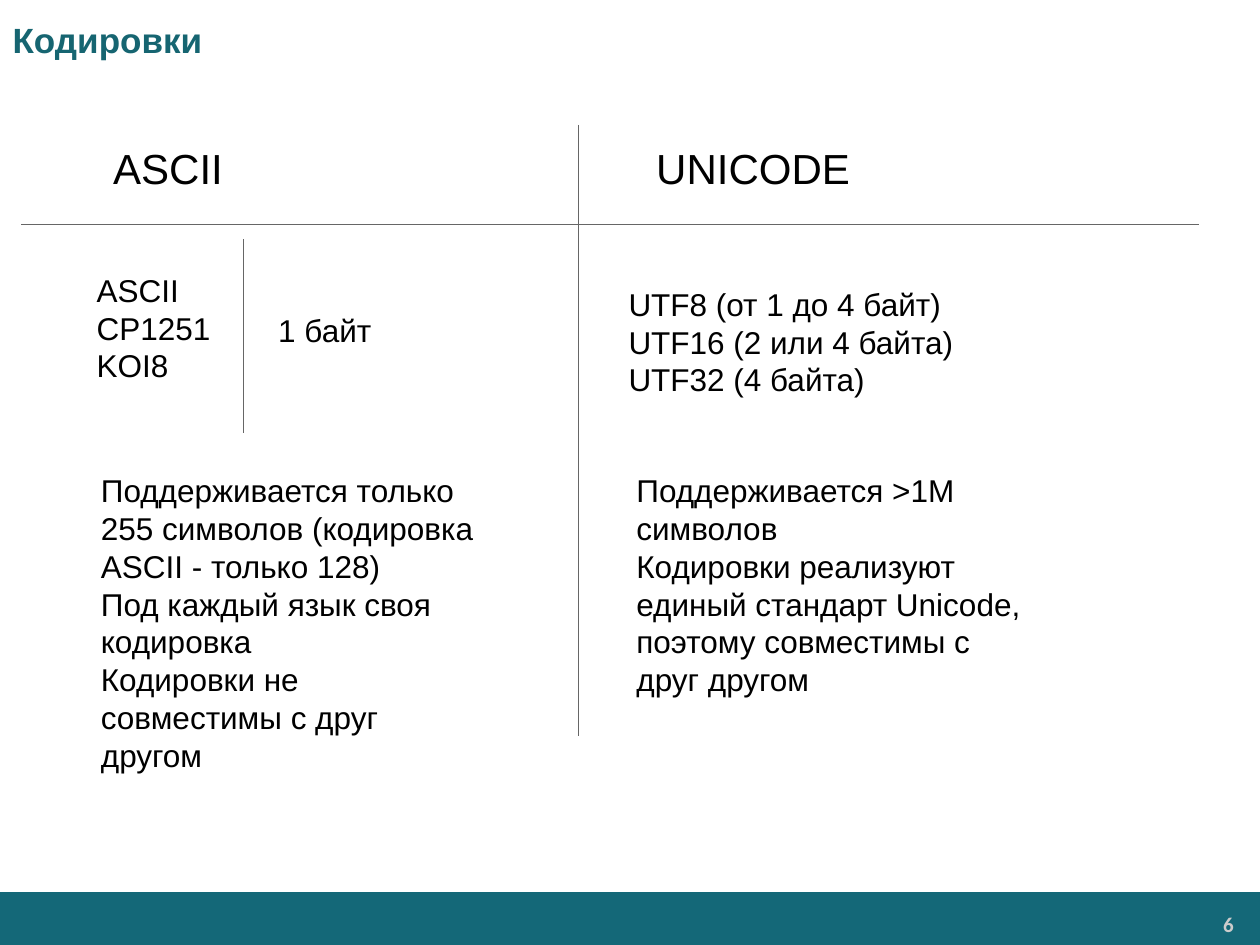
from lxml import etree
from pptx import Presentation
from pptx.dml.color import RGBColor
from pptx.enum.shapes import MSO_CONNECTOR, MSO_SHAPE
from pptx.enum.text import MSO_ANCHOR, MSO_AUTO_SIZE, PP_ALIGN
from pptx.oxml.ns import qn
from pptx.util import Pt

STRAIGHT = MSO_CONNECTOR.STRAIGHT
RECTANGLE = MSO_SHAPE.RECTANGLE
MIDDLE = MSO_ANCHOR.MIDDLE
NO_FIT = MSO_AUTO_SIZE.NONE
LEFT = PP_ALIGN.LEFT
RIGHT = PP_ALIGN.RIGHT


def color(value):
    return RGBColor.from_string(value)


def write(box, lines, size, ink="000000", name="Arial", bold=False, align=LEFT, inset=(7.2, 7.2)):
    frame = box.text_frame
    frame.word_wrap = True
    frame.auto_size = NO_FIT
    frame.margin_left = frame.margin_right = Pt(inset[0])
    frame.margin_top = frame.margin_bottom = Pt(inset[1])
    frame.text = "\n".join(lines)
    for para in frame.paragraphs:
        para.alignment = align
        for span in para.runs:
            span.font.size = Pt(size)
            span.font.name = name
            span.font.bold = bold
            span.font.color.rgb = color(ink)


deck = Presentation()
deck.slide_width = Pt(720)
deck.slide_height = Pt(540)
page = deck.slides.add_slide(deck.slide_layouts[5])
shapes = page.shapes

footer = shapes.add_shape(RECTANGLE, Pt(0), Pt(509.8), Pt(720), Pt(30.2))
footer.shadow.inherit = False
footer.fill.solid()
footer.fill.fore_color.rgb = color("146878")
footer.line.fill.background()

number = shapes.add_textbox(Pt(592.6), Pt(517.7), Pt(117.4), Pt(20.2))
write(number, ["6"], 12, "CCCCCC", "Calibri", True, RIGHT, (5, 2.9))

title = shapes.title
title.left, title.top, title.width, title.height = Pt(0), Pt(0), Pt(720), Pt(45.4)
write(title, ["Кодировки"], 20, "166571", bold=True, inset=(7.2, 3.6))
title.text_frame.vertical_anchor = MIDDLE

dividers = [
    (330.5, 71.3, 330.5, 420.5),
    (12.2, 128.2, 685.4, 128.2),
    (139, 136.8, 139, 247.7),
]
for x1, y1, x2, y2 in dividers:
    divider = shapes.add_connector(STRAIGHT, Pt(x1), Pt(y1), Pt(x2), Pt(y2))
    divider.line.color.rgb = color("666666")
    divider.line.width = Pt(0.75)
    etree.SubElement(divider._element.spPr, qn("a:effectLst"))

texts = [
    (57.6, 74.2, 138.2, 35.3, 24, ["ASCII"]),
    (367.9, 74.2, 138.2, 45.4, 24, ["UNICODE"]),
    (48.2, 147.6, 81, 105.1, 18, ["ASCII", "CP1251", "KOI8"]),
    (151.9, 170.6, 88.6, 41, 18, ["1 байт"]),
    (352.1, 155.5, 206.6, 97.2, 18, [
        "UTF8 (от 1 до 4 байт)",
        "UTF16 (2 или 4 байта)",
        "UTF32 (4 байта)",
    ]),
    (50.6, 262.1, 235.4, 169.9, 18, [
        "Поддерживается только 255 символов (кодировка ASCII - только 128)",
        "Под каждый язык своя кодировка",
        "Кодировки не совместимы с друг другом",
    ]),
    (356.6, 262.1, 235.4, 166.3, 18, [
        "Поддерживается >1М символов",
        "Кодировки реализуют единый стандарт Unicode,",
        "поэтому совместимы с друг другом",
    ]),
]
for left, top, width, height, size, lines in texts:
    box = shapes.add_textbox(Pt(left), Pt(top), Pt(width), Pt(height))
    write(box, lines, size)

deck.save("out.pptx")
